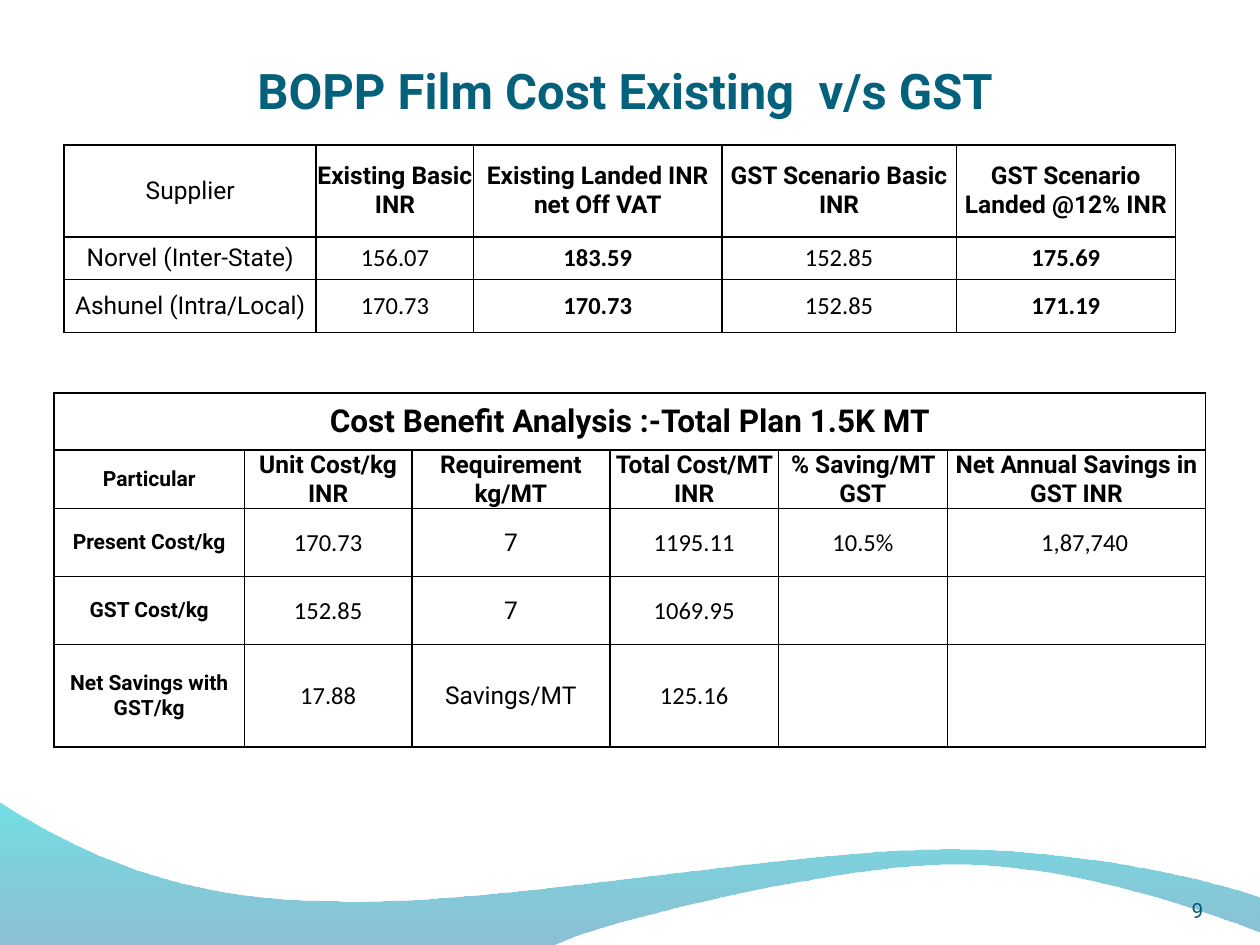
from lxml import etree
from pptx import Presentation
from pptx.dml.color import RGBColor
from pptx.enum import text
from pptx.oxml import ns
from pptx.util import Inches, Pt


def color(code):
    return RGBColor.from_string(code)


def grid(left, top, cols, sizes, rows, style):
    """Add a ruled table; style(row, col) gives the size and weight of a cell."""
    table = slide.shapes.add_table(
        len(rows), len(cols), Inches(left), Inches(top),
        Inches(sum(cols)), Inches(sum(sizes))).table
    for col, width in zip(table.columns, cols):
        col.width = Inches(width)
    for row, height in zip(table.rows, sizes):
        row.height = Inches(height)
    for r, row in enumerate(rows):
        for c in range(len(cols)):
            cell = table.cell(r, c)
            cell.margin_left = cell.margin_right = 0
            cell.margin_top = cell.margin_bottom = 0
            cell.vertical_anchor = text.MSO_ANCHOR.MIDDLE
            props = cell._tc.get_or_add_tcPr()
            for side in ("a:lnL", "a:lnR", "a:lnT", "a:lnB"):
                line = etree.SubElement(props, ns.qn(side), w=str(Pt(1)))
                solid = etree.SubElement(line, ns.qn("a:solidFill"))
                etree.SubElement(solid, ns.qn("a:srgbClr"), val="000000")
            cell.fill.background()
            words = row[c] if c < len(row) else ""
            if not words:
                continue
            cell.text = words
            para = cell.text_frame.paragraphs[0]
            para.alignment = text.PP_ALIGN.CENTER
            font = para.font
            size, font.bold = style(r, c)
            font.size = Pt(size)
            # Figures of several digits are in Calibri
            figure = words[0].isdigit() and len(words) > 1
            font.name = "Calibri" if figure else "Roboto"
            font.color.rgb = color("000000")
    return table


deck = Presentation()
deck.slide_width, deck.slide_height = Inches(10), Inches(7.5)
slide = deck.slides.add_slide(deck.slide_layouts[5])

# Wave: each curve is a start point, two controls and an end point
curves = [
    [(4.4, 7.5), (4.76, 7.32), (6.64, 6.86), (7.58, 6.86)],
    [(7.58, 6.86), (8.53, 6.86), (9.58, 7.24), (10, 7.4)],
    [(10.01, 7.13), (9.83, 7.05), (8.7, 6.73), (7.46, 6.74)],
    [(7.46, 6.74), (6.22, 6.74), (3.82, 7.21), (2.57, 7.15)],
    [(2.57, 7.15), (1.29, 7.14), (0.46, 6.66), (-0.01, 6.36)],
]
steps = 24
points = []
for curve in curves:
    for i in range(steps + 1):
        t = i / steps
        parts = ((1 - t) ** 3, 3 * t * (1 - t) ** 2, 3 * t * t * (1 - t), t ** 3)
        points.append([Inches(sum(k * p[axis] for k, p in zip(parts, curve)))
                       for axis in (0, 1)])
path = slide.shapes.build_freeform(0, Inches(7.5))
path.add_line_segments(points, close=True)
wave = path.convert_to_shape()
wave.shadow.inherit = False
wave.line.fill.background()
wave.fill.gradient()
wave.fill.gradient_angle = 90
for stop, code in zip(wave.fill.gradient_stops, ("0074A1", "00C6CF")):
    stop.color.rgb = color(code)
tints = wave._element.spPr.iter(ns.qn("a:srgbClr"))
for tint, alpha in zip(list(tints), (45, 55)):
    etree.SubElement(tint, ns.qn("a:alpha"), val=str(alpha * 1000))

# Title and page number
title = slide.shapes.title
title.left, title.top = Inches(0.5), Inches(0.29)
title.width, title.height = Inches(8.92), Inches(0.71)
page = slide.shapes.add_textbox(Inches(9.17), Inches(6.92), Inches(0.67), Inches(0.4))
for box, words, size, code, pad in (
        (title, "BOPP Film Cost Existing  v/s GST", 28, "04617B", 0.05),
        (page, "9", 12, "045D75", 0)):
    frame = box.text_frame
    frame.text = words
    frame.word_wrap = True
    frame.vertical_anchor = text.MSO_ANCHOR.BOTTOM
    frame.margin_left = frame.margin_right = Inches(pad)
    frame.margin_top = frame.margin_bottom = Inches(pad)
    para = frame.paragraphs[0]
    para.alignment = text.PP_ALIGN.CENTER
    para.font.name, para.font.size = "Roboto", Pt(size)
    para.font.bold = box is title
    para.font.color.rgb = color(code)

# Supplier prices: headings and landed costs are bold
grid(0.51, 1.15, [2, 1.25, 1.97, 1.86, 1.74], [0.73, 0.34, 0.42], [
    ["Supplier", "Existing Basic INR", "Existing Landed INR net Off VAT",
     "GST Scenario Basic INR", "GST Scenario Landed @12% INR"],
    ["Norvel (Inter-State)", "156.07", "183.59", "152.85", "175.69"],
    ["Ashunel (Intra/Local)", "170.73", "170.73", "152.85", "171.19"],
], lambda r, c: (14, c in (2, 4) or (r == 0 and c > 0)))

# Cost benefit: a merged heading, then bold labels on top and at the left
plan = grid(0.43, 3.12, [1.51, 1.33, 1.57, 1.34, 1.34, 2.05],
            [0.45, 0.46, 0.54, 0.54, 0.81], [
    ["Cost Benefit Analysis :-Total Plan 1.5K MT"],
    ["Particular", "Unit Cost/kg INR", "Requirement kg/MT", "Total Cost/MT INR",
     "% Saving/MT GST", "Net Annual Savings in GST INR"],
    ["Present Cost/kg", "170.73", "7", "1195.11", "10.5%", "1,87,740"],
    ["GST Cost/kg", "152.85", "7", "1069.95"],
    ["Net Savings with GST/kg", "17.88", "Savings/MT", "125.16"],
], lambda r, c: (18 if r == 0 else 12 if c == 0 else 14, r < 2 or c == 0))
plan.cell(0, 0).merge(plan.cell(0, 5))
plan.cell(2, 5).margin_left = Inches(0.13)

deck.save("out.pptx")
